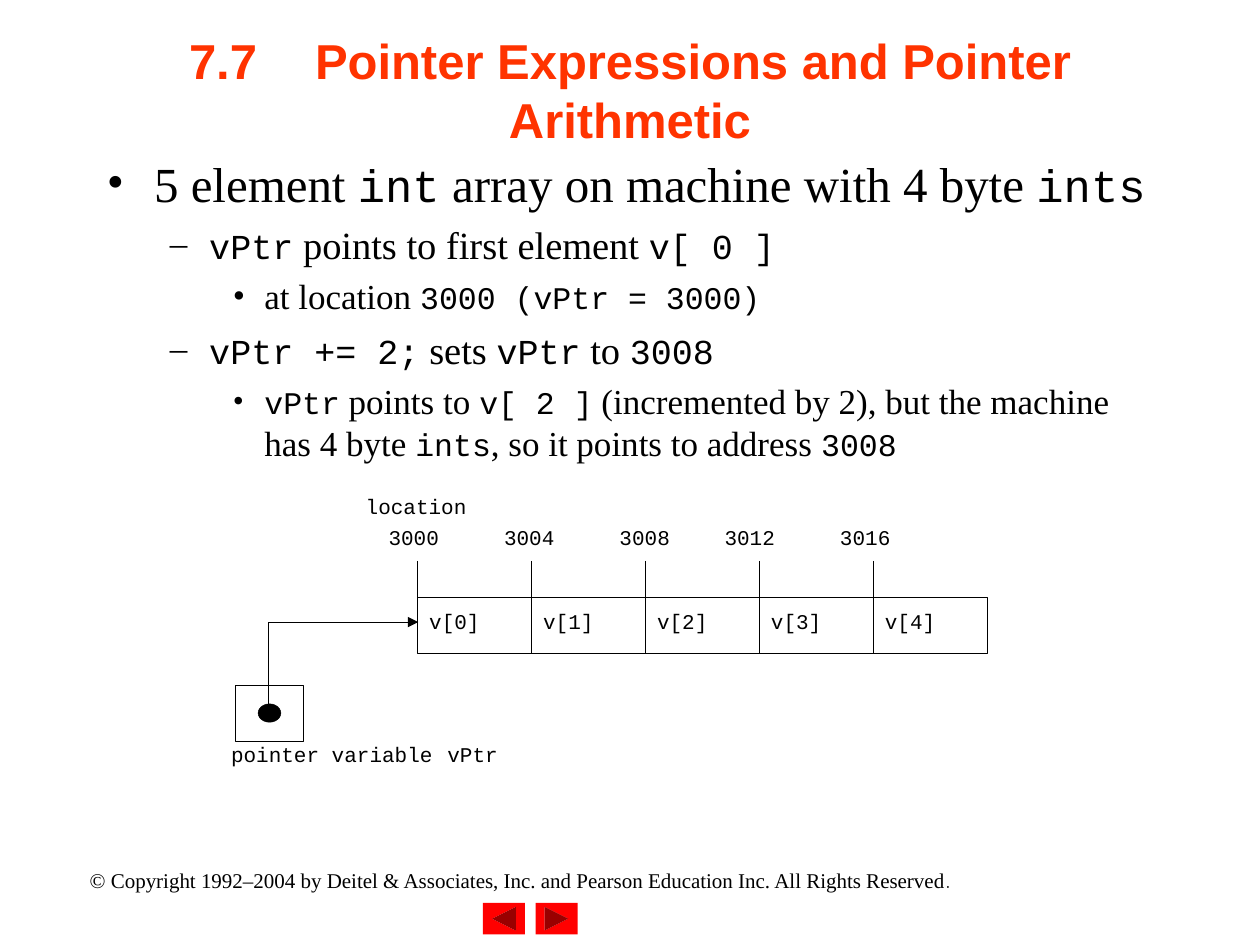
from pptx import Presentation
from pptx.dml.color import RGBColor
from pptx.enum.shapes import MSO_CONNECTOR, MSO_SHAPE
from pptx.enum.text import MSO_ANCHOR, PP_ALIGN
from pptx.util import Pt
from lxml.etree import SubElement
from pptx.oxml.ns import qn

BLACK = RGBColor(0x00, 0x00, 0x00)
RED = RGBColor(0xFF, 0x00, 0x00)
ORANGE = RGBColor(0xFF, 0x33, 0x00)
SERIF, MONO = "Times New Roman", "Courier New"


def add_run(paragraph, text, size, font_name, color=BLACK):
    run = paragraph.add_run()
    run.text = text
    run.font.size = Pt(size)
    run.font.name = font_name
    run.font.color.rgb = color
    return run


def add_text_box(left, top, width, height, side_inset=0, top_inset=0):
    box = slide.shapes.add_textbox(Pt(left), Pt(top), Pt(width), Pt(height))
    text_frame = box.text_frame
    text_frame.word_wrap = True
    text_frame.margin_left = text_frame.margin_right = Pt(side_inset)
    text_frame.margin_top = text_frame.margin_bottom = Pt(top_inset)
    return text_frame


presentation = Presentation()
presentation.slide_width = Pt(720)
presentation.slide_height = Pt(540)
slide = presentation.slides.add_slide(presentation.slide_layouts[6])

# Navigation buttons: the left one is the right one turned round
for left, rotation in [(306, 0), (276, 180)]:
    button = slide.shapes.add_shape(
        MSO_SHAPE.ACTION_BUTTON_FORWARD_OR_NEXT, Pt(left), Pt(516), Pt(24), Pt(18))
    button.rotation = rotation
    button.shadow.inherit = False
    button.fill.solid()
    button.fill.fore_color.rgb = RED
    button.line.fill.background()

# Copyright line
paragraph = add_text_box(36, 492, 522, 21.6, 7.2, 3.6).paragraphs[0]
paragraph.alignment = PP_ALIGN.CENTER
add_run(paragraph, "© Copyright 1992–2004 by Deitel & Associates, Inc. "
        "and Pearson Education Inc. All Rights Reserved", 12, SERIF)
add_run(paragraph, ".", 12, "Quicksand")

# Title, with a tab after the section number
text_frame = add_text_box(54, 6, 612, 90, 7.2, 3.6)
text_frame.vertical_anchor = MSO_ANCHOR.MIDDLE
paragraph = text_frame.paragraphs[0]
paragraph.alignment = PP_ALIGN.CENTER
tabs = SubElement(paragraph._p.get_or_add_pPr(), qn("a:tabLst"))
SubElement(tabs, qn("a:tab"), pos=str(Pt(72)), algn="l")
add_run(paragraph, "7.7\tPointer Expressions and Pointer Arithmetic",
        28, "Arial", ORANGE).font.bold = True

# Bulleted text: code stands between backticks
LEVELS = [  # bullet, left margin, hanging indent, space before, text size, code size
    ("•", 27, 27, 0, 28, 26),
    ("–", 58.5, 22.5, 5, 22, 20),
    ("•", 90, 18, 4.5, 20, 18),
]
BULLETS = [
    (0, "5 element `int` array on machine with 4 byte `ints`"),
    (1, "`vPtr` points to first element `v[ 0 ]`"),
    (2, "at location `3000 (vPtr = 3000)`"),
    (1, "`vPtr += 2;` sets `vPtr` to `3008`"),
    (2, "`vPtr` points to `v[ 2 ]` (incremented by 2), but the machine has "
        "4 byte `ints`, so it points to address `3008`"),
]
text_frame = add_text_box(54, 84, 612, 426, 7.2, 3.6)
for number, (level, text) in enumerate(BULLETS):
    paragraph = text_frame.paragraphs[0] if number == 0 else text_frame.add_paragraph()
    bullet, margin, hanging, space, text_size, code_size = LEVELS[level]
    paragraph.level = level
    paragraph.space_before = Pt(space)
    properties = paragraph._p.get_or_add_pPr()
    properties.set("marL", str(Pt(margin)))
    properties.set("indent", str(-Pt(hanging)))
    SubElement(properties, qn("a:buFont"), typeface=SERIF)
    SubElement(properties, qn("a:buChar"), char=bullet)
    for index, piece in enumerate(text.split("`")):
        if piece and index % 2:
            add_run(paragraph, piece, code_size, MONO)
        elif piece:
            add_run(paragraph, piece, text_size, SERIF)

# Pointer variable: box, dot and caption
pointer_box = slide.shapes.add_shape(
    MSO_SHAPE.RECTANGLE, Pt(134.5), Pt(391.5), Pt(39), Pt(32))
pointer_box.fill.background()
dot = slide.shapes.add_shape(MSO_SHAPE.OVAL, Pt(147.5), Pt(402.25), Pt(13), Pt(10.5))
dot.fill.solid()
dot.fill.fore_color.rgb = BLACK
outlined = [pointer_box, dot]
paragraph = add_text_box(132, 421.5, 228, 23).paragraphs[0]
for text, size in [("pointer variable", 12), (" ", 14), ("vPtr", 12)]:
    add_run(paragraph, text, size, MONO)

# Array cells with a tick and an address above each
ARRAY_LEFT, ARRAY_TOP, CELL_WIDTH, CELL_HEIGHT = 238.5, 341.5, 65.1, 32
ADDRESS_LEFTS = [222, 288, 354, 414, 480]
for index, address_left in enumerate(ADDRESS_LEFTS):
    left = ARRAY_LEFT + index * CELL_WIDTH
    cell = slide.shapes.add_shape(
        MSO_SHAPE.RECTANGLE, Pt(left), Pt(ARRAY_TOP), Pt(CELL_WIDTH), Pt(CELL_HEIGHT))
    cell.fill.background()
    text_frame = cell.text_frame
    text_frame.vertical_anchor = MSO_ANCHOR.TOP
    text_frame.margin_left, text_frame.margin_top = Pt(6.75), Pt(6.5)
    text_frame.margin_right = text_frame.margin_bottom = 0
    text_frame.paragraphs[0].alignment = PP_ALIGN.LEFT
    add_run(text_frame.paragraphs[0], f"v[{index}]", 12, MONO)

    tick = slide.shapes.add_connector(
        MSO_CONNECTOR.STRAIGHT, Pt(left), Pt(320.5), Pt(left), Pt(ARRAY_TOP))
    SubElement(tick._element.spPr, qn("a:effectLst"))
    tick.line.color.rgb = BLACK
    tick.line.width = Pt(0.25)
    outlined.append(cell)

    address = add_text_box(address_left, 300, 51, 23)
    add_run(address.paragraphs[0], str(3000 + 4 * index), 12, MONO)

add_run(add_text_box(209, 282, 88, 21.6).paragraphs[0], "location", 12, MONO)

# Bent arrow from the dot to the first cell, drawn from its head
builder = slide.shapes.build_freeform(Pt(239), Pt(355.5))
builder.add_line_segments([(Pt(153.5), Pt(355.5)), (Pt(153.5), Pt(402.5))], close=False)
arrow = builder.convert_to_shape()
arrow.fill.background()
outlined.append(arrow)

# Thin black outlines
for shape in outlined:
    shape.shadow.inherit = False
    shape.line.color.rgb = BLACK
    shape.line.width = Pt(0.25)
SubElement(arrow.line._get_or_add_ln(), qn("a:headEnd"), type="triangle")

presentation.save("out.pptx")
